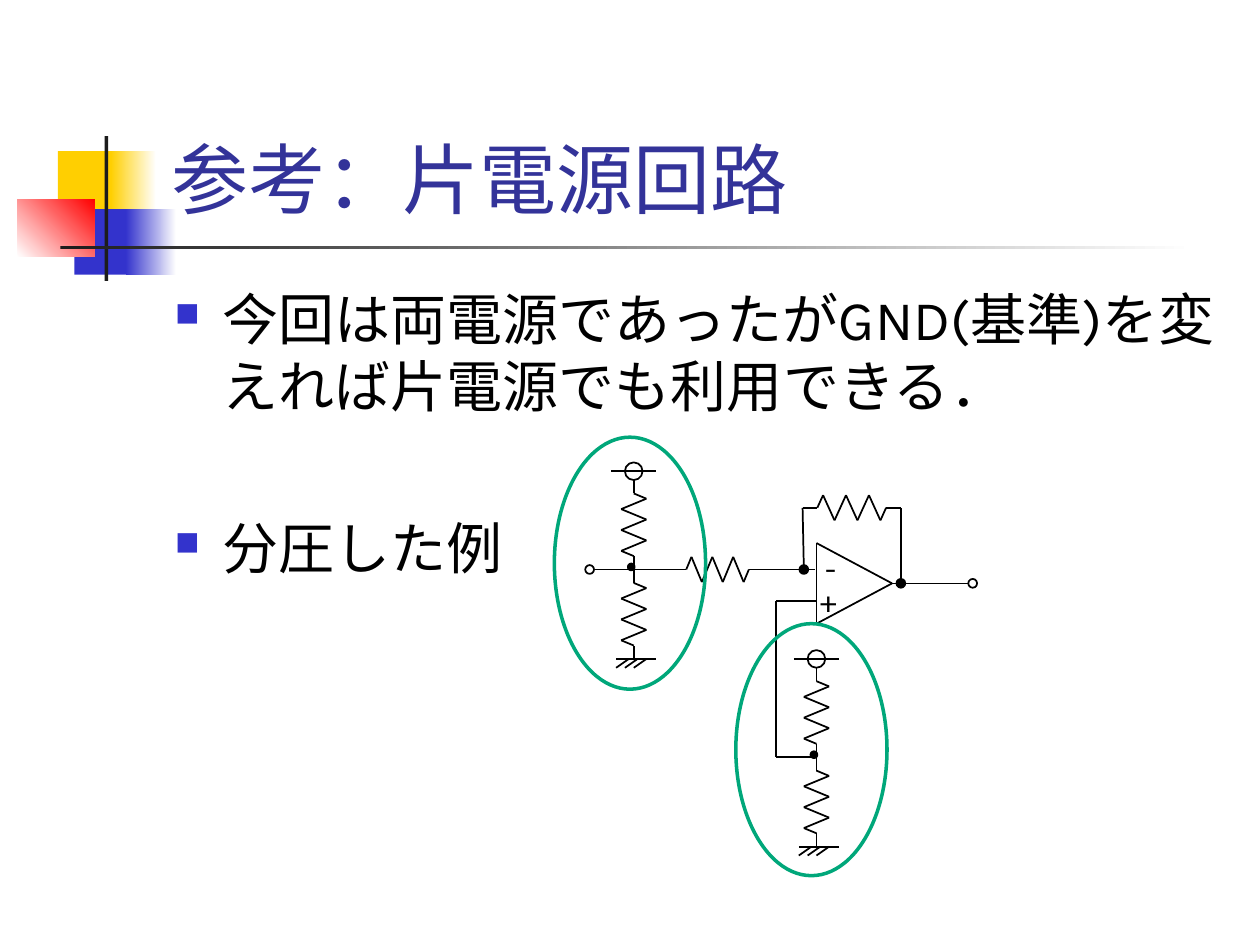
from dataclasses import dataclass
from itertools import pairwise

from lxml import etree
from pptx import Presentation
from pptx import util as u
from pptx.dml.color import RGBColor
from pptx.enum import shapes, text
from pptx.oxml import ns


@dataclass(frozen=True)
class Theme:
    font: str = "Karla"
    title: str = "333399"
    ink: str = "000000"
    paper: str = "FFFFFF"
    yellow: str = "FFCF01"
    blue: str = "3333CC"
    red: str = "FF0000"
    bar: str = "1C1C1C"
    highlight: str = "00A77A"
    title_size: int = 44
    body_size: int = 32
    label_size: int = 18


THEME = Theme()
SWING = 0.1  # half the width of a resistor zigzag


def rgb(code):
    return RGBColor.from_string(code)


def add_block(page, left, top, width, height, colours, angle=0):
    """Add a borderless rectangle; two colours make a gradient."""
    block = page.shapes.add_shape(
        shapes.MSO_SHAPE.RECTANGLE, *map(u.Inches, (left, top, width, height)))
    block.shadow.inherit = False
    block.line.fill.background()
    if len(colours) == 1:
        block.fill.solid()
        block.fill.fore_color.rgb = rgb(colours[0])
        return
    block.fill.gradient()
    block.fill.gradient_angle = angle
    for stop, colour in zip(block.fill.gradient_stops, colours):
        stop.color.rgb = rgb(colour)


def add_oval(page, centre, width, height, fill=None, line=THEME.ink, weight=1):
    x, y = centre
    oval = page.shapes.add_shape(
        shapes.MSO_SHAPE.OVAL,
        *map(u.Inches, (x - width / 2, y - height / 2, width, height)))
    oval.shadow.inherit = False
    if fill:
        oval.fill.solid()
        oval.fill.fore_color.rgb = rgb(fill)
    else:
        oval.fill.background()
    oval.line.color.rgb = rgb(line)
    oval.line.width = u.Pt(weight)


def add_wire(page, *points):
    """Join the points in turn with straight lines."""
    for start, end in pairwise(points):
        wire = page.shapes.add_connector(
            shapes.MSO_CONNECTOR.STRAIGHT, *map(u.Inches, (*start, *end)))
        wire.line.color.rgb = rgb(THEME.ink)
        wire.line.width = u.Pt(1)
        etree.SubElement(wire._element.spPr, ns.qn("a:effectLst"))


def add_resistor(page, x, y, length, vertical=False):
    """Draw leads and six zigzag peaks, rightwards or downwards from (x, y)."""
    lead = 0.15 * length
    quarter = (length - 2 * lead) / 12
    side = SWING if vertical else -SWING
    peaks = [(lead + quarter * (2 * i + 1), side * (-1) ** i) for i in range(6)]
    profile = [(0, 0), (lead, 0), *peaks, (length - lead, 0), (length, 0)]
    add_wire(page, *((x + across, y + along) if vertical else (x + along, y + across)
                     for along, across in profile))


def add_ground(page, x, y):
    add_wire(page, (x - 0.14, y), (x + 0.18, y))
    for shift in (-0.04, 0.03, 0.1):
        add_wire(page, (x + shift, y), (x + shift - 0.1, y + 0.07))


def add_divider(page, x, y):
    """Draw a supply, two resistors meeting at (x, y) and a ground."""
    supply = y - 0.78
    add_oval(page, (x, supply), 0.14, 0.14, THEME.paper)
    add_wire(page, (x - 0.18, supply), (x + 0.18, supply))
    for top in (y - 0.71, y):
        add_resistor(page, x, top, 0.71, vertical=True)
    add_ground(page, x, y + 0.71)
    add_oval(page, (x - 0.02, y - 0.02), 0.04, 0.04, THEME.ink, weight=2)


def add_text(page, left, top, width, height, lines, size, colour=THEME.ink):
    box = page.shapes.add_textbox(*map(u.Inches, (left, top, width, height)))
    frame = box.text_frame
    frame.word_wrap = True
    frame.text = "\n".join(lines)
    for para in frame.paragraphs:
        for span in para.runs:
            span.font.name = THEME.font
            span.font.size = u.Pt(size)
            span.font.color.rgb = rgb(colour)
    return frame


def add_bullet(para, space_before):
    para.space_before = u.Pt(space_before)
    props = para._p.get_or_add_pPr()
    indent = u.Inches(0.38)
    props.set("marL", str(indent))
    props.set("indent", str(-indent))
    colour = etree.SubElement(props, ns.qn("a:buClr"))
    etree.SubElement(colour, ns.qn("a:srgbClr"), val=THEME.blue)
    etree.SubElement(props, ns.qn("a:buSzPct"), val="60000")
    etree.SubElement(props, ns.qn("a:buChar"), char="■")


def add_decoration(page):
    add_block(page, 0.46, 1.2, 0.48, 0.52, [THEME.yellow])
    add_block(page, 0.88, 1.2, 0.36, 0.52, [THEME.yellow, THEME.paper])
    add_block(page, 0.59, 1.66, 0.46, 0.52, [THEME.blue])
    add_block(page, 1, 1.66, 0.4, 0.52, [THEME.blue, THEME.paper])
    add_block(page, 0.14, 1.58, 0.61, 0.46, [THEME.paper, THEME.red], angle=45)
    add_block(page, 0.83, 1.08, 0.03, 1.15, [THEME.bar])
    add_block(page, 0.48, 1.95, 9, 0.03, [THEME.bar, THEME.paper])


def add_words(page):
    title = add_text(page, 1.26, 0.23, 8.52, 1.6, ["参考：片電源回路"],
                     THEME.title_size, THEME.title)
    title.vertical_anchor = text.MSO_ANCHOR.BOTTOM
    body = add_text(page, 1.29, 2.21, 8.5, 4.5, [
        "今回は両電源であったがGND(基準)を変えれば片電源でも利用できる．",
        "分圧した例",
    ], THEME.body_size)
    for para, space in zip(body.paragraphs, (8, 54)):
        add_bullet(para, space)


def add_amplifier(page):
    tip = (7.08, 4.63)
    add_wire(page, tip, (7.68, 4.63))
    add_wire(page, (6.38, 4.52), (6.37, 4.03))
    add_wire(page, (5.95, 4.52), (6.47, 4.52))
    add_wire(page, (7.15, 4.62), (7.15, 4.03))
    add_wire(page, (6.48, 4.31), (6.48, 4.95), tip, (6.48, 4.31))
    add_text(page, 6.45, 4.31, 0.25, 0.4, ["-"], THEME.label_size)
    add_text(page, 6.41, 4.56, 0.29, 0.4, ["+"], THEME.label_size)
    for centre, fill in (((6.38, 4.52), THEME.ink), ((7.15, 4.63), THEME.ink),
                         ((7.72, 4.63), THEME.paper)):
        add_oval(page, centre, 0.07, 0.07, fill)
    add_resistor(page, 6.37, 4.03, 0.78)


def add_circuit(page):
    add_amplifier(page)
    add_wire(page, (4.71, 4.52), (5.35, 4.52))
    add_oval(page, (4.68, 4.52), 0.07, 0.07, THEME.paper)
    add_resistor(page, 5.34, 4.52, 0.71)
    add_wire(page, (6.48, 4.77), (6.16, 4.77), (6.16, 6.01), (6.48, 6.01))
    add_divider(page, 5.03, 4.52)
    add_divider(page, 6.48, 6.01)
    for centre in ((5, 4.47), (6.44, 5.95)):
        add_oval(page, centre, 1.2, 2, line=THEME.highlight, weight=2)


def main():
    deck = Presentation()
    deck.slide_width, deck.slide_height = u.Inches(10), u.Inches(7.5)
    page = deck.slides.add_slide(deck.slide_layouts[6])
    add_decoration(page)
    add_words(page)
    add_circuit(page)
    deck.save("out.pptx")


if __name__ == "__main__":
    main()
